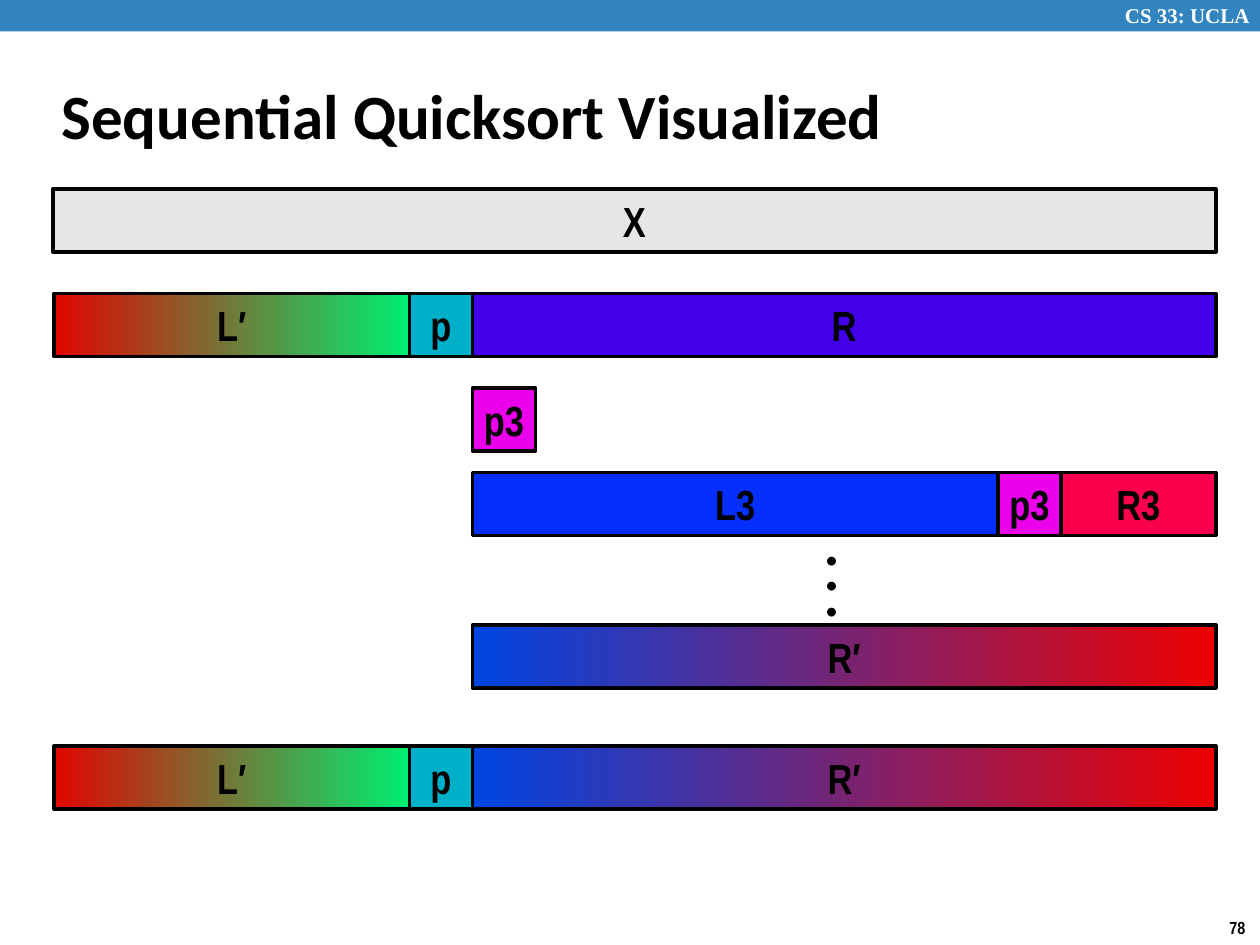
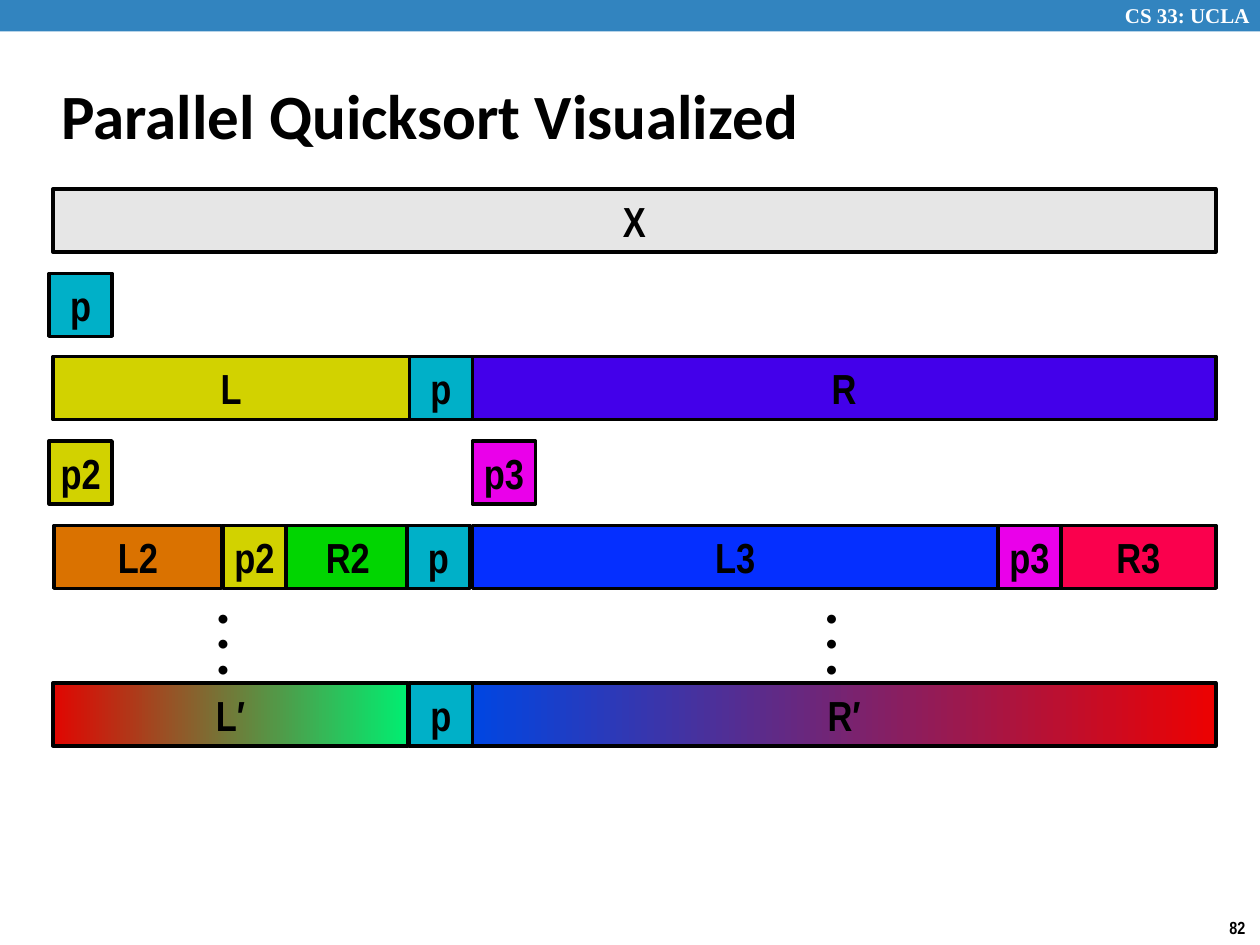
from pptx import Presentation
from pptx.dml.color import RGBColor
from pptx.enum.shapes import MSO_SHAPE as Shape
from pptx.enum.text import MSO_ANCHOR as Anchor, PP_ALIGN as Align
from pptx.util import Inches, Pt

BLACK, WHITE, BAND = "000000", "FFFFFF", "3284BF"
BLOCK = 0.5                      # height of every block, width of a pivot
LEFT, PIVOT, RIGHT = 0.42, 3.25, 9.65
UPPER = PIVOT + BLOCK            # where the part above the pivot starts
PIVOT_3 = 7.92

# Label: width and colour; two colours make a left-to-right gradient
BLOCKS = {
    "X": (RIGHT - LEFT, ["E6E6E6"]),
    "L": (PIVOT - LEFT, ["D2D200"]),
    "p": (BLOCK, ["00B0C8"]),
    "R": (RIGHT - UPPER, ["4300EA"]),
    "L2": (1.33, ["DA7200"]),
    "p2": (BLOCK, ["D2D200"]),
    "R2": (0.98, ["01D501"]),
    "L3": (PIVOT_3 - UPPER, ["052FFF"]),
    "p3": (BLOCK, ["EA00EA"]),
    "R3": (RIGHT - PIVOT_3 - BLOCK, ["FA004D"]),
    "L′": (2.82, ["E10601", "00EE71"]),
    "R′": (RIGHT - UPPER, ["0046E2", "ED0101"]),
}

# Each step of the sort: top, then the left edge of every block
third_split = [("L3", UPPER), ("R3", PIVOT_3 + BLOCK), ("p3", PIVOT_3)]
second_split = [("p2", 1.77), ("L2", 0.43), ("R2", 2.27)]
SLIDES = [
    {
        "title": "Sequential Quicksort Visualized",
        "number": "78",
        "steps": [
            (1.5, [("X", LEFT)]),
            (2.33, [("p", PIVOT), ("R", UPPER), ("L′", 0.43)]),
            (3.08, [("p3", UPPER)]),
            (3.75, third_split),
            (4.96, [("R′", UPPER)]),
            (5.92, [("p", PIVOT), ("L′", 0.43), ("R′", UPPER)]),
        ],
        "dots": [(6.46, 4.29)],
    },
    {
        "title": "Parallel Quicksort Visualized",
        "number": "82",
        "steps": [
            (1.5, [("X", LEFT)]),
            (2.17, [("p", 0.39)]),
            (2.83, [("L", LEFT), ("p", PIVOT), ("R", UPPER)]),
            (3.5, [("p2", 0.39), ("p3", UPPER)]),
            (4.17, second_split + third_split + [("p", 3.23)]),
            (5.42, [("L′", LEFT), ("R′", UPPER), ("p", PIVOT)]),
        ],
        "dots": [(1.63, 4.75), (6.46, 4.75)],
    },
]


def rgb(value):
    return RGBColor.from_string(value)


def write(box, text, font, size, color=BLACK, wrap=False, align=Align.LEFT):
    """Put bold text into a box and format all of its paragraphs."""
    frame = box.text_frame
    frame.text = text
    frame.word_wrap = wrap
    for paragraph in frame.paragraphs:
        paragraph.alignment = align
        for run in paragraph.runs:
            run.font.name = font
            run.font.size = Pt(size)
            run.font.bold = True
            run.font.color.rgb = rgb(color)


prs = Presentation()
prs.slide_width, prs.slide_height = Inches(10), Inches(7.5)

for content in SLIDES:
    slide = prs.slides.add_slide(prs.slide_layouts[6])
    shapes = slide.shapes

    band = shapes.add_shape(Shape.RECTANGLE, 0, 0, prs.slide_width, Inches(0.25))
    band.shadow.inherit = False
    band.fill.solid()
    band.fill.fore_color.rgb = rgb(BAND)
    band.line.fill.background()

    course = shapes.add_textbox(Inches(8.83), Inches(-0.03), Inches(1.24), Inches(0.3))
    write(course, "CS 33: UCLA", "Times New Roman", 12, WHITE, wrap=True)
    number = shapes.add_textbox(Inches(9.66), Inches(7.23), Inches(0.34), Inches(0.27))
    write(number, content["number"], "Arial Narrow", 10)
    title = shapes.add_textbox(Inches(0.39), Inches(0.49), Inches(8.3), Inches(0.83))
    write(title, content["title"], "Calibri", 36, wrap=True)
    title.text_frame.vertical_anchor = Anchor.MIDDLE

    for top, blocks in content["steps"]:
        for label, left in blocks:
            width, colors = BLOCKS[label]
            block = shapes.add_shape(Shape.RECTANGLE, Inches(left), Inches(top),
                                     Inches(width), Inches(BLOCK))
            block.shadow.inherit = False
            if len(colors) == 1:
                block.fill.solid()
                block.fill.fore_color.rgb = rgb(colors[0])
            else:
                block.fill.gradient()
                block.fill.gradient_angle = 0
                for stop, color in zip(block.fill.gradient_stops, colors):
                    stop.color.rgb = rgb(color)
            block.line.color.rgb = rgb(BLACK)
            block.line.width = Pt(2)
            write(block, label, "Arial Narrow", 24, align=Align.CENTER)
            block.text_frame.vertical_anchor = Anchor.MIDDLE

    for left, top in content["dots"]:
        dots = shapes.add_textbox(Inches(left), Inches(top), Inches(0.28), Inches(0.71))
        write(dots, "•\n•\n•", "Calibri", 12)

prs.save("out.pptx")
